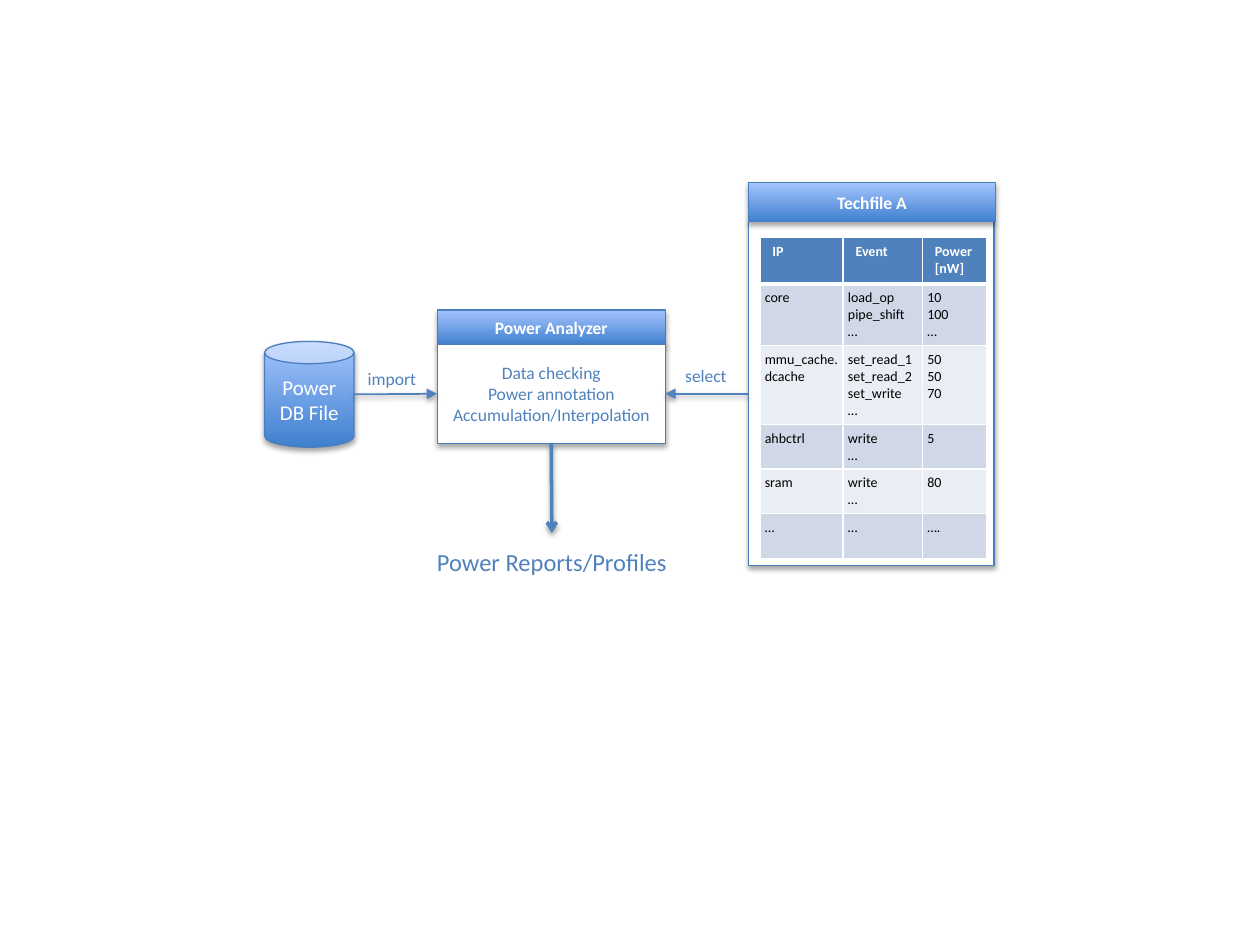
from dataclasses import dataclass
from typing import Optional

from lxml.etree import SubElement
from pptx import Presentation
from pptx.dml.color import RGBColor
from pptx.enum.shapes import MSO_CONNECTOR as Connector, MSO_SHAPE as Shape
from pptx.enum.text import MSO_ANCHOR as Anchor, MSO_AUTO_SIZE as AutoSize, PP_ALIGN as Align
from pptx.oxml.ns import qn
from pptx.util import Inches, Pt


@dataclass(frozen=True)
class Theme:
    font: str = "Calibri"
    white: str = "FFFFFF"
    black: str = "000000"
    accent: str = "4F81BD"
    outline: str = "4B7EBC"
    gradient: tuple = ("3F80CE", "A4C4FF")
    bands: tuple = ("D0D8E8", "E9EDF4")
    table_size: float = 8
    body_size: float = 10
    store_size: float = 12
    result_size: float = 14


THEME = Theme()


@dataclass(frozen=True)
class TextStyle:
    size: float = THEME.body_size
    color: str = THEME.accent
    bold: bool = False
    align: Align = Align.CENTER


@dataclass(frozen=True)
class Box:
    left: float
    top: float
    width: float
    height: float
    text: str = ""
    style: TextStyle = TextStyle()
    kind: Shape = Shape.RECTANGLE
    gradient: bool = False


@dataclass(frozen=True)
class Arrow:
    start: tuple
    end: tuple
    begin_join: Optional[tuple] = None
    end_join: Optional[tuple] = None
    width: float = 1
    head: str = "triangle"


TITLE = TextStyle(color=THEME.white, bold=True)
LABEL = TextStyle(align=Align.LEFT)
HEADER_CELL = TextStyle(THEME.table_size, THEME.white, True, Align.LEFT)
BODY_CELL = TextStyle(THEME.table_size, THEME.black, False, Align.LEFT)

# Diagram contents
TECHFILE_FRAME = Box(5.94, 1.76, 1.95, 2.73)
TECHFILE_TITLE = Box(5.94, 1.45, 1.96, 0.31, "Techfile A", TITLE, gradient=True)
ANALYZER_TITLE = Box(3.47, 2.46, 1.81, 0.28, "Power Analyzer", TITLE, gradient=True)
ANALYZER_BODY = Box(3.47, 2.73, 1.81, 0.79,
                    "Data checking\nPower annotation\nAccumulation/Interpolation")
POWER_STORE = Box(2.1, 2.71, 0.71, 0.84, "Power DB File",
                  TextStyle(THEME.store_size, THEME.white), Shape.CAN, True)
LABELS = [
    Box(2.82, 2.87, 0.59, 0.27, "import", LABEL),
    Box(5.34, 2.85, 0.53, 0.27, "select", LABEL),
    Box(3.36, 4.29, 2.04, 0.34, "Power Reports/Profiles", TextStyle(THEME.result_size)),
]
COLUMN_WIDTHS = [0.66, 0.63, 0.51]
ROW_HEIGHTS = [0.22, 0.45, 0.58, 0.32, 0.32, 0.36]
CELL_MARGINS = {"left": 0.04, "right": 0.02, "top": 0.04, "bottom": 0.04}
POWER_ROWS = [
    ("IP", "Event", "Power [nW]"),
    ("core", "load_op\npipe_shift\n…", "10\n100\n…"),
    ("mmu_cache.\ndcache", "set_read_1\nset_read_2\nset_write\n…", "50\n50\n70"),
    ("ahbctrl", "write\n…", "5"),
    ("sram", "write\n…", "80"),
    ("…", "…", "…."),
]


def rgb(color: str) -> RGBColor:
    return RGBColor.from_string(color)


def write_text(frame, text: str, style: TextStyle) -> None:
    frame.text = text
    formats = {"name": THEME.font, "size": Pt(style.size), "bold": style.bold}
    for paragraph in frame.paragraphs:
        paragraph.alignment = style.align
        for run in paragraph.runs:
            for name, value in formats.items():
                setattr(run.font, name, value)
            run.font.color.rgb = rgb(style.color)


def add_shadow(properties, distance: float, opacity: int) -> None:
    effects = properties.find(qn("a:effectLst"))
    if effects is None:
        effects = SubElement(properties, qn("a:effectLst"))
    shadow = SubElement(effects, qn("a:outerShdw"), blurRad=str(Pt(3.1)),
                        dist=str(Pt(distance)), dir=str(90 * 60000), rotWithShape="0")
    color = SubElement(shadow, qn("a:srgbClr"), val=THEME.black)
    SubElement(color, qn("a:alpha"), val=str(opacity * 1000))


def place(box: Box) -> list:
    return [Inches(value) for value in (box.left, box.top, box.width, box.height)]


def add_box(shapes, box: Box):
    shape = shapes.add_shape(box.kind, *place(box))
    if box.gradient:
        shape.fill.gradient()
        shape.fill.gradient_angle = 90
        for stop, color in zip(shape.fill.gradient_stops, THEME.gradient):
            stop.color.rgb = rgb(color)
    else:
        shape.fill.solid()
        shape.fill.fore_color.rgb = rgb(THEME.white)
    shape.line.color.rgb = rgb(THEME.outline)
    shape.line.width = Pt(0.75)
    shape.shadow.inherit = False
    add_shadow(shape._element.spPr, 1.8, 35)
    if box.text:
        shape.text_frame.vertical_anchor = Anchor.MIDDLE
        write_text(shape.text_frame, box.text, box.style)
    return shape


def add_label(shapes, box: Box) -> None:
    frame = shapes.add_textbox(*place(box)).text_frame
    write_text(frame, box.text, box.style)
    frame.word_wrap = False
    frame.auto_size = AutoSize.SHAPE_TO_FIT_TEXT


def add_arrow(shapes, arrow: Arrow) -> None:
    ends = [Inches(value) for value in (*arrow.start, *arrow.end)]
    connector = shapes.add_connector(Connector.STRAIGHT, *ends)
    if arrow.begin_join:
        connector.begin_connect(*arrow.begin_join)
    if arrow.end_join:
        connector.end_connect(*arrow.end_join)
    connector.line.color.rgb = rgb(THEME.accent)
    connector.line.width = Pt(arrow.width)
    SubElement(connector.line._get_or_add_ln(), qn("a:tailEnd"), type=arrow.head)
    add_shadow(connector._element.spPr, 1.6, 38)


def add_borders(cell, row: int) -> None:
    widths = {"L": 1, "R": 1, "T": 3 if row == 1 else 1, "B": 3 if row == 0 else 1}
    for side, width in widths.items():
        line = SubElement(cell._tc.get_or_add_tcPr(), qn(f"a:ln{side}"), w=str(Pt(width)))
        SubElement(SubElement(line, qn("a:solidFill")), qn("a:srgbClr"), val=THEME.white)


def add_power_table(shapes) -> None:
    table = shapes.add_table(len(ROW_HEIGHTS), len(COLUMN_WIDTHS), Inches(6.03), Inches(1.88),
                             Inches(sum(COLUMN_WIDTHS)), Inches(sum(ROW_HEIGHTS))).table
    for column, width in zip(table.columns, COLUMN_WIDTHS):
        column.width = Inches(width)
    for row, (height, texts) in enumerate(zip(ROW_HEIGHTS, POWER_ROWS)):
        table.rows[row].height = Inches(height)
        for column, text in enumerate(texts):
            cell = table.cell(row, column)
            add_borders(cell, row)
            cell.fill.solid()
            cell.fill.fore_color.rgb = rgb(THEME.bands[(row - 1) % 2] if row else THEME.accent)
            if row:
                for side, margin in CELL_MARGINS.items():
                    setattr(cell, f"margin_{side}", Inches(margin))
            write_text(cell.text_frame, text, BODY_CELL if row else HEADER_CELL)


def main() -> None:
    presentation = Presentation()
    presentation.slide_width, presentation.slide_height = Inches(10), Inches(7.5)
    shapes = presentation.slides.add_slide(presentation.slide_layouts[6]).shapes

    # Techfile, analyzer and database
    techfile = add_box(shapes, TECHFILE_FRAME)
    analyzer_group = shapes.add_group_shape().shapes
    add_box(analyzer_group, ANALYZER_TITLE)
    analyzer = add_box(analyzer_group, ANALYZER_BODY)
    add_power_table(shapes)
    add_box(shapes, TECHFILE_TITLE)
    add_box(shapes, POWER_STORE)

    # Data flow
    for arrow in (
        Arrow((2.81, 3.13), (3.47, 3.13), end_join=(analyzer, 1)),
        Arrow((5.94, 3.13), (5.28, 3.13), (techfile, 1), (analyzer, 3)),
        Arrow((4.38, 3.52), (4.38, 4.23), (analyzer, 2), width=2, head="arrow"),
    ):
        add_arrow(shapes, arrow)
    for label in LABELS:
        add_label(shapes, label)

    presentation.save("out.pptx")


if __name__ == "__main__":
    main()
